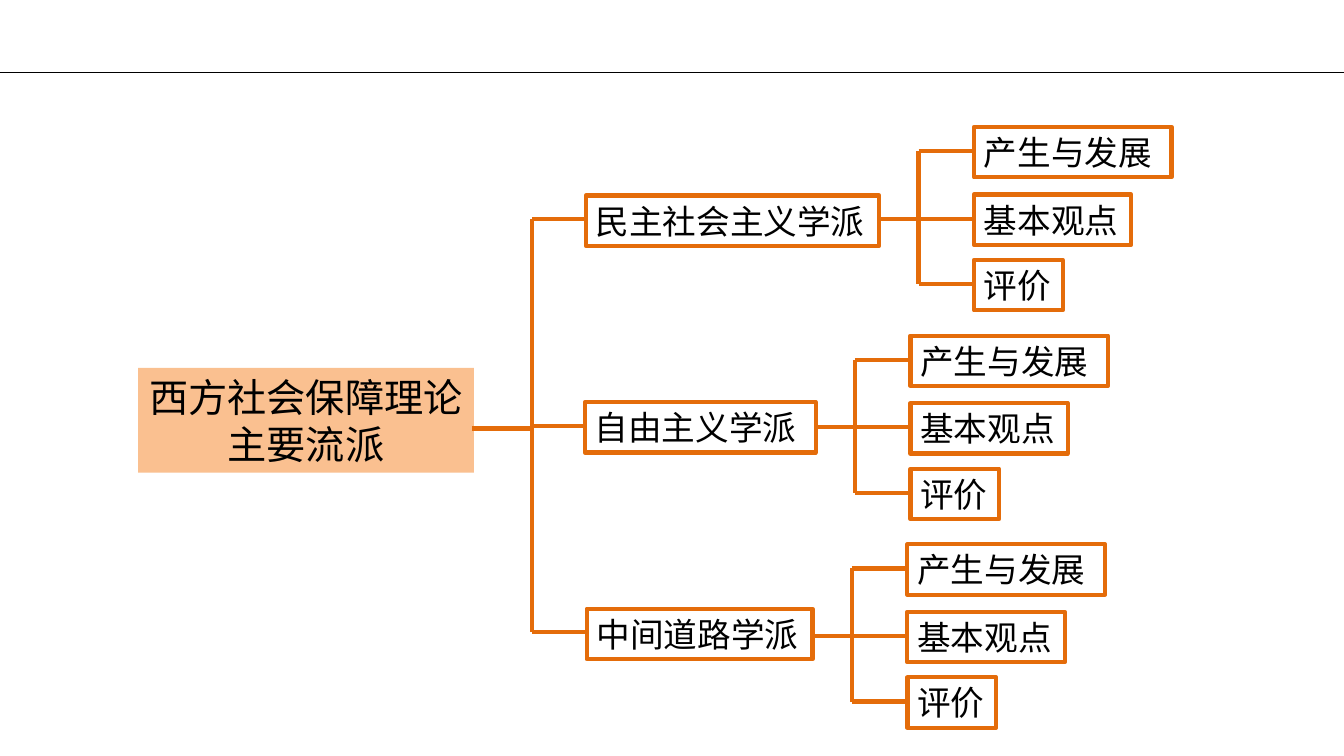
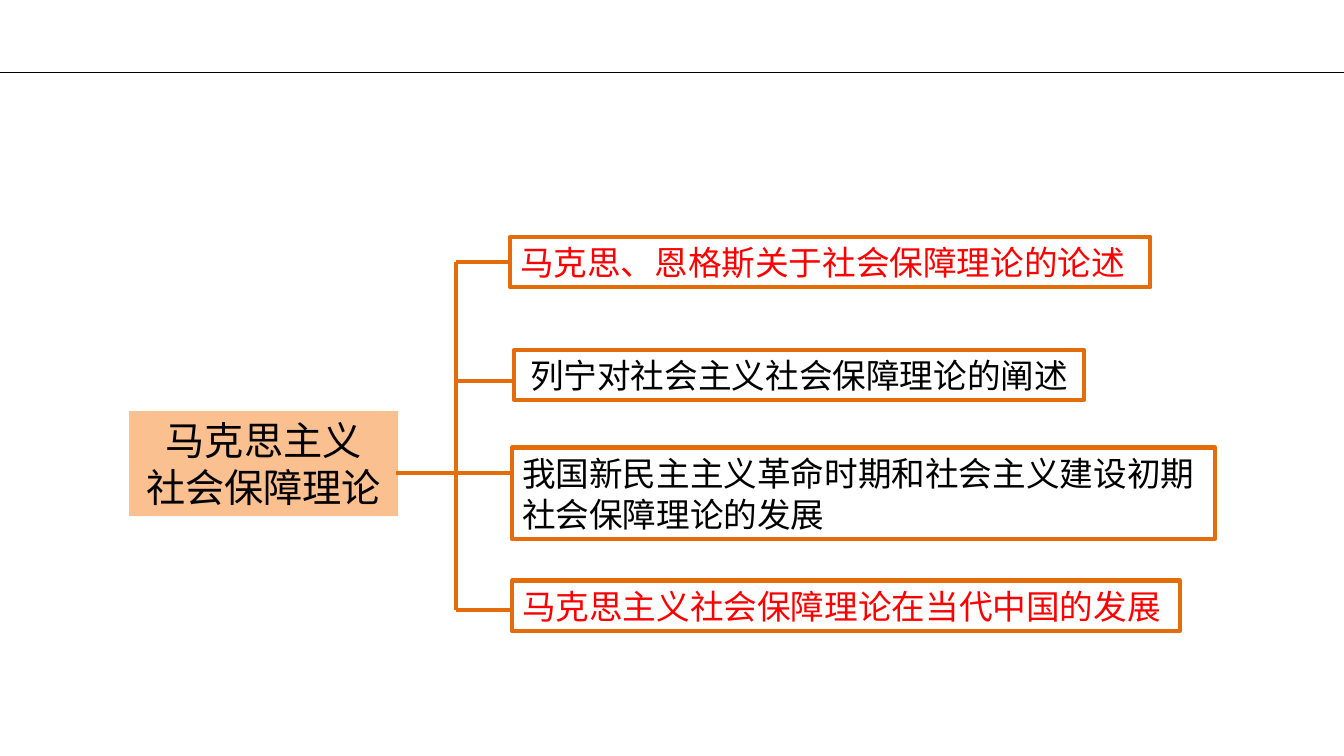
from pptx import Presentation
from pptx.dml.color import RGBColor
from pptx.enum.shapes import MSO_CONNECTOR
from pptx.enum.text import MSO_ANCHOR, PP_ALIGN
from pptx.oxml.ns import qn
from pptx.util import Emu, Pt
from lxml.etree import SubElement

# Shared style: 100 px to the inch
SCALE = 9144
WIDTH, HEIGHT = 1333, 750
BLACK, RED, ORANGE, PEACH = "000000", "FF0000", "E46C0A", "FAC090"
LATIN, CJK = "Calibri", "Noto Sans CJK SC"
LINE_PT = 3
BOX_H = 50

# Leaves below every school: text, width, font, top within the group
LEAVES = [
    ("产生与发展", 196, CJK, 0),
    ("基本观点", 156, CJK, 67),
    ("评价", 88, LATIN, 132),
]
LEAF_INDENT = 55
LEAF_MID = 24

# Schools: text, left, top, width, trunk x and top of the leaf group
SCHOOLS = [
    ("民主社会主义学派", 581, 194, 291, 911, 126),
    ("自由主义学派", 580, 399, 229, 848, 333),
    ("中间道路学派", 582, 604, 224, 845, 540),
]

# Topics: text, left, top, width, height, colour, alignment
TOPICS = [
    ("马克思、恩格斯关于社会保障理论的论述", 506, 235, 635, BOX_H, RED, PP_ALIGN.LEFT),
    ("列宁对社会主义社会保障理论的阐述", 510, 347, 565, BOX_H, BLACK, PP_ALIGN.CENTER),
    ("我国新民主主义革命时期和社会主义建设初期社会保障理论的发展",
     508, 444, 697, 91, BLACK, PP_ALIGN.LEFT),
    ("马克思主义社会保障理论在当代中国的发展", 508, 576, 662, BOX_H, RED, PP_ALIGN.LEFT),
]


def px(n):
    return Emu(n * SCALE)


def color(value):
    return RGBColor.from_string(value)


def add_line(slide, x1, y1, x2, y2, stroke=ORANGE, width=LINE_PT):
    line = slide.shapes.add_connector(
        MSO_CONNECTOR.STRAIGHT, px(x1), px(y1), px(x2), px(y2))
    line.line.color.rgb = color(stroke)
    line.line.width = Pt(width)
    SubElement(line._element.spPr, qn("a:effectLst"))
    return line


def add_box(slide, paragraphs, x, y, w, h, size=24, font=LATIN,
            text_color=BLACK, align=PP_ALIGN.LEFT, fill=None):
    """A peach box when filled, otherwise an orange outline."""
    sp = slide.shapes.add_textbox(px(x), px(y), px(w), px(h))
    if fill:
        sp.fill.solid()
        sp.fill.fore_color.rgb = color(fill)
    else:
        sp.line.color.rgb = color(ORANGE)
        sp.line.width = Pt(LINE_PT)
    tf = sp.text_frame
    for name, value in {"word_wrap": True, "vertical_anchor": MSO_ANCHOR.MIDDLE}.items():
        setattr(tf, name, value)
    for i, text in enumerate(paragraphs):
        p = tf.add_paragraph() if i else tf.paragraphs[0]
        p.alignment = align
        r = p.add_run()
        r.text = text
        for name, value in {"size": Pt(size), "name": font}.items():
            setattr(r.font, name, value)
        r.font.color.rgb = color(text_color)
        SubElement(r._r.get_or_add_rPr(), qn("a:ea"), typeface=font)


def add_root(slide, paragraphs, x, y, w):
    add_box(slide, paragraphs, x, y, w, 104, size=28,
            align=PP_ALIGN.CENTER, fill=PEACH)


def add_bracket(slide, start, y, trunk, end, branch_ys):
    """Join a parent to its branches by a vertical trunk."""
    add_line(slide, start, y, trunk, y)
    add_line(slide, trunk, branch_ys[0], trunk, branch_ys[-1])
    for branch_y in branch_ys:
        add_line(slide, trunk, branch_y, end, branch_y)


def add_header_rule(prs, slide):
    """Draw the header rule and move it to the master."""
    rule = add_line(slide, 0, 72, WIDTH, 72, BLACK, 1)
    prs.slide_master.shapes._spTree.append(rule._element)


def build_western_schools(slide):
    add_root(slide, ["西方社会保障理论主要流派"], 137, 365, 333)
    add_bracket(slide, 468, 425, 528, 582, [217, 423, 627])
    for text, x, y, w, trunk, group_top in SCHOOLS:
        add_box(slide, [text], x, y, w, BOX_H)
        branch_ys = [group_top + top + LEAF_MID for *_, top in LEAVES]
        leaf_x = trunk + LEAF_INDENT
        add_bracket(slide, x + w, branch_ys[1], trunk, leaf_x, branch_ys)
        for leaf, leaf_w, font, top in LEAVES:
            add_box(slide, [leaf], leaf_x, group_top + top, leaf_w, BOX_H, font=font)


def build_marxist_theory(slide):
    add_root(slide, ["马克思主义", "社会保障理论"], 128, 408, 267)
    add_bracket(slide, 393, 469, 452, 508, [260, 378, 469, 605])
    for text, x, y, w, h, text_color, align in TOPICS:
        add_box(slide, [text], x, y, w, h, text_color=text_color, align=align)


def main():
    prs = Presentation()
    prs.slide_width, prs.slide_height = px(WIDTH), px(HEIGHT)
    blank = prs.slide_layouts[6]
    schools, theory = (prs.slides.add_slide(blank) for _ in range(2))
    add_header_rule(prs, schools)
    build_western_schools(schools)
    build_marxist_theory(theory)
    prs.save("out.pptx")


if __name__ == "__main__":
    main()
